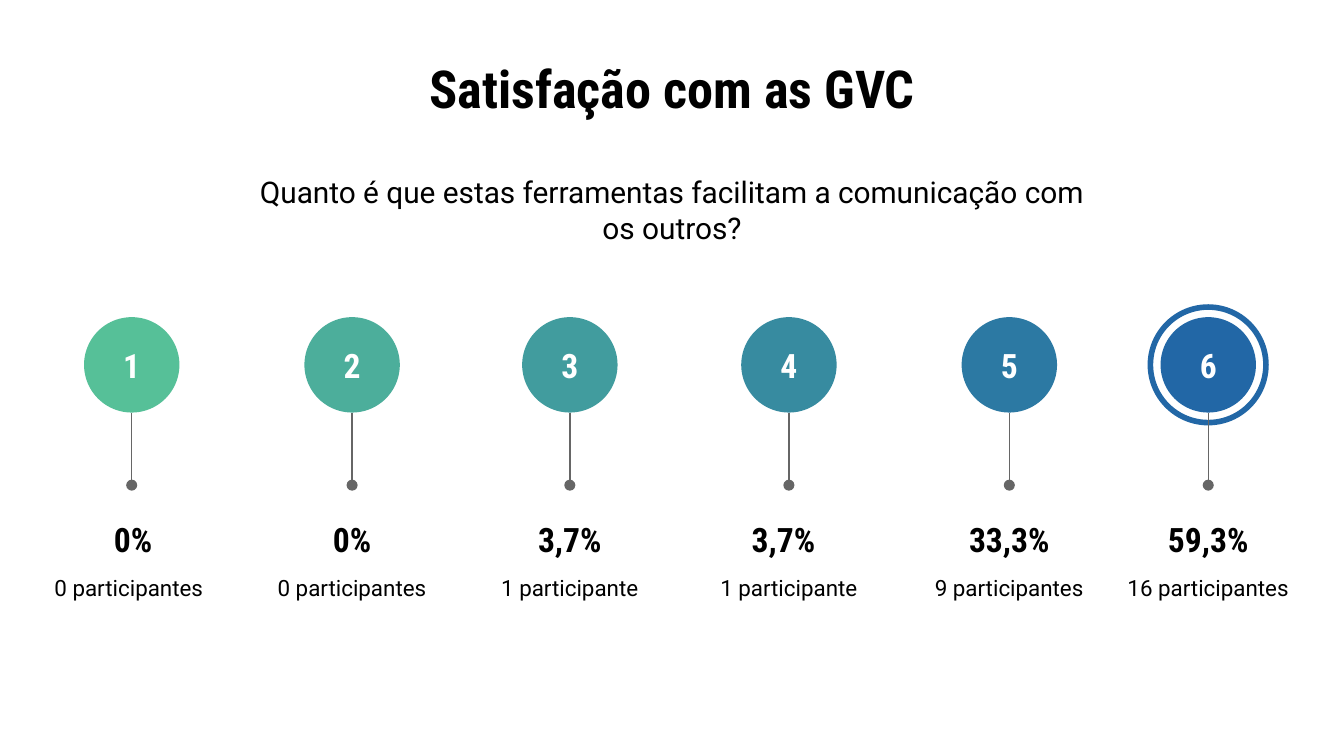
from pptx import Presentation
from pptx.dml.color import RGBColor as Rgb
from pptx.enum.shapes import MSO_CONNECTOR as Conn, MSO_SHAPE as Kind
from pptx.enum.text import MSO_ANCHOR as Anchor, MSO_AUTO_SIZE as Fit, PP_ALIGN as Align
from pptx.oxml.ns import qn
from pptx.util import Inches, Pt
from lxml.etree import SubElement as Sub

HUES = {"ink": "000000", "paper": "FFFFFF", "stem": "666666", "ring": "2267A6"}
HEAD, BODY = "Roboto Condensed", "Roboto"
DISC, RING, TOP = 0.71, 0.86, 2.36
STEPS = [
    (0.98, 0.99, "56C098", "0%", "0 participantes "),
    (2.62, 2.62, "4CAE9B", "0%", "0 participantes"),
    (4.24, 4.24, "419C9E", "3,7%", "1 participante"),
    (5.87, 5.83, "378BA0", "3,7%", "1 participante"),
    (7.51, 7.51, "2C79A3", "33,3%", "9 participantes"),
    (8.99, 8.99, "2267A6", "59,3%", "16 participantes"),
]


def write(shape, text, size=18, font=HEAD, hue="ink", bold=True):
    """Put centred, formatted text into a shape."""
    frame = shape.text_frame
    frame.auto_size = Fit.NONE
    frame.word_wrap = True
    frame.vertical_anchor = Anchor.MIDDLE
    frame.margin_left = frame.margin_right = Inches(0.1)
    frame.margin_top = frame.margin_bottom = Inches(0.1)
    para = frame.paragraphs[0]
    para.alignment = Align.CENTER
    run = para.add_run()
    run.text = text
    run.font.name, run.font.size, run.font.bold = font, Pt(size), bold
    run.font.color.rgb = Rgb.from_string(HUES[hue])


def label(slide, mid, top, wide, high, text, **style):
    """Add a text box centred on mid."""
    box = slide.shapes.add_textbox(
        Inches(mid - wide / 2), Inches(top), Inches(wide), Inches(high))
    write(box, text, **style)


def disc(slide, mid, top, size):
    """Add a plain circle centred on mid."""
    shape = slide.shapes.add_shape(
        Kind.OVAL, Inches(mid - size / 2), Inches(top), Inches(size), Inches(size))
    shape.shadow.inherit = False
    return shape


def ring(slide, mid):
    """Add the hollow ring that marks the top score."""
    shape = disc(slide, mid, TOP - (RING - DISC) / 2, RING)
    shape.fill.background()
    shape.line.color.rgb = Rgb.from_string(HUES["ring"])
    shape.line.width = Pt(3)


def stem(slide, mid):
    """Add a vertical line with a round end."""
    line = slide.shapes.add_connector(
        Conn.STRAIGHT, Inches(mid), Inches(TOP + DISC), Inches(mid), Inches(3.61))
    line.line.color.rgb = Rgb.from_string(HUES["stem"])
    line.line.width = Pt(0.75)
    Sub(line.line._get_or_add_ln(), qn("a:tailEnd"), type="oval")
    Sub(line._element.spPr, qn("a:effectLst"))


def step(slide, num, mid, axis, hue, share, count):
    """Add one score with its share and count."""
    label(slide, axis, 3.83, 1.55, 0.36, share)
    label(slide, mid, 3.98, 1.7, 0.79, count, size=12, font=BODY, bold=False)
    shape = disc(slide, mid, TOP, DISC)
    shape.fill.solid()
    shape.fill.fore_color.rgb = Rgb.from_string(hue)
    shape.line.fill.background()
    write(shape, str(num), hue="paper")
    stem(slide, mid)


def main():
    """Build and save the slide."""
    deck = Presentation()
    deck.slide_width, deck.slide_height = Inches(10), Inches(10 * 9 / 16)
    slide = deck.slides.add_slide(deck.slide_layouts[5])
    title = slide.shapes.title
    title.left, title.top = Inches(1.73), Inches(1)
    title.width, title.height = Inches(6.54), Inches(1.12)
    write(title, "Quanto é que estas ferramentas facilitam a comunicação com os outros?",
          size=16, font=BODY, bold=False)
    ring(slide, STEPS[-1][0])
    for num, data in enumerate(STEPS, 1):
        step(slide, num, *data)
    label(slide, 5, 0.45, 9, 0.41, "Satisfação com as GVC", size=28)
    deck.save("out.pptx")


if __name__ == "__main__":
    main()
